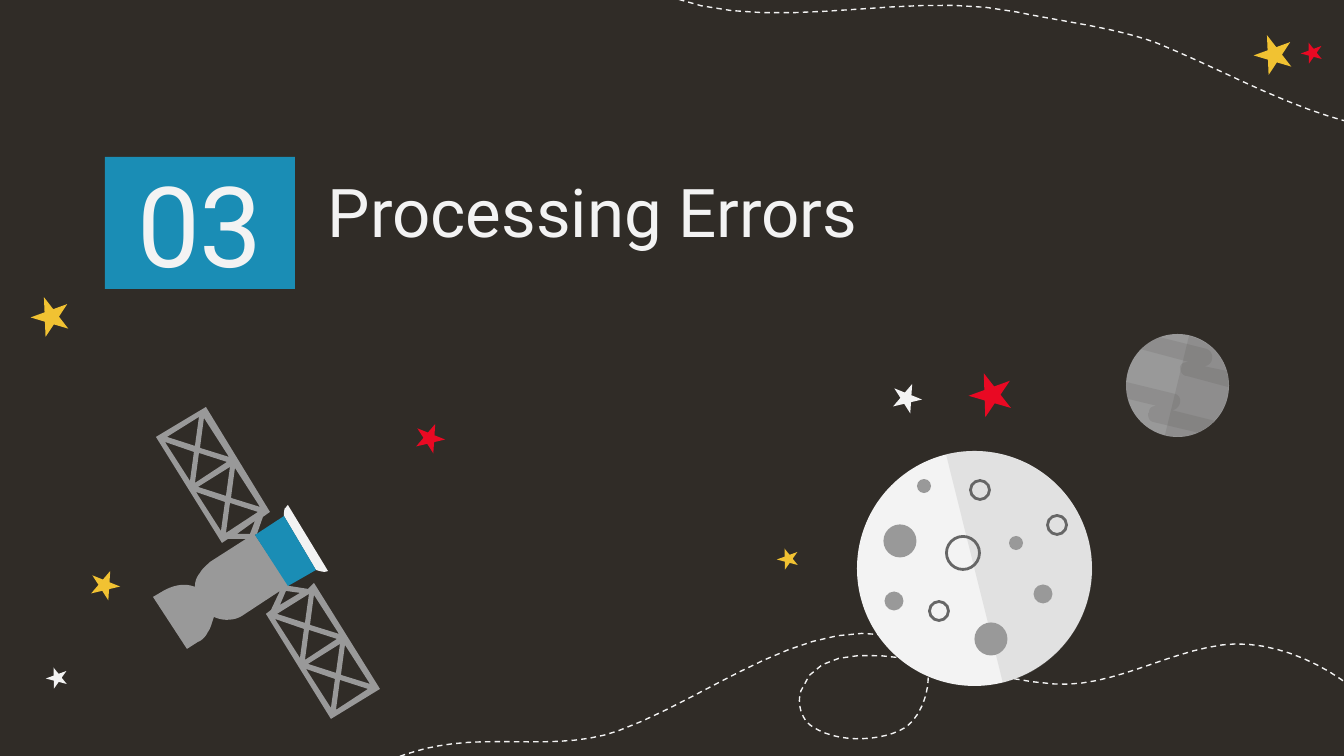
from lxml import etree
from pptx import Presentation
from pptx.dml.color import RGBColor
from pptx.enum.dml import MSO_LINE
from pptx.enum.shapes import MSO_SHAPE
from pptx.enum.text import MSO_ANCHOR, PP_ALIGN
from pptx.oxml.ns import qn
from pptx.util import Pt

SCALE = 914400 / 134.4
WIDE, HIGH = 1344, 756
STEPS = 12

DARK = RGBColor(0x30, 0x2C, 0x27)
WHITE = RGBColor(0xF3, 0xF3, 0xF3)
BLUE = RGBColor(0x1A, 0x8D, 0xB5)
RED = RGBColor(0xE9, 0x09, 0x23)
GOLD = RGBColor(0xF1, 0xC2, 0x32)
GRAY = RGBColor(0x99, 0x99, 0x99)
SLATE = RGBColor(0x66, 0x66, 0x66)

OVAL, RECT, STAR = MSO_SHAPE.OVAL, MSO_SHAPE.RECTANGLE, MSO_SHAPE.STAR_5_POINT
DASH = MSO_LINE.DASH
TOP, MIDDLE = MSO_ANCHOR.TOP, MSO_ANCHOR.MIDDLE
LEFT, CENTER = PP_ALIGN.LEFT, PP_ALIGN.CENTER

STARS = [
    (1301, 42, 22, 20, -20, RED),
    (1254, 34, 39, 38, -20, GOLD),
    (46, 667, 22, 20, -20, WHITE),
    (31, 296, 39, 38, -20, GOLD),
    (415, 423, 30, 28, 22, RED),
    (777, 548, 22, 20, -20, GOLD),
    (969, 372, 44, 42, -20, RED),
    (90, 570, 30, 28, 22, GOLD),
    (892, 383, 30, 28, 22, WHITE),
]
LOW_TRAIL = [
    (1372, 706), (1337, 668, 1275, 638, 1222, 645),
    (1164, 653, 1111, 688, 1054, 684), (970, 679, 825, 618, 801, 691),
    (797, 703, 801, 720, 813, 727), (836, 742, 874, 742, 899, 731),
    (930, 719, 941, 653, 910, 641), (814, 607, 714, 696, 618, 731),
    (562, 751, 497, 735, 438, 746), (392, 754, 352, 780, 306, 788),
]
TOP_TRAIL = [
    (426, -144), (462, -144, 489, -113, 520, -95),
    (570, -65, 673, -24, 694, -79), (696, -87, 691, -101, 683, -105),
    (663, -113, 634, -103, 621, -87), (606, -67, 622, -27, 644, -15),
    (754, 44, 895, -13, 1017, 12), (1064, 22, 1113, 27, 1157, 43),
    (1243, 78, 1328, 132, 1421, 132),
]
PLANET_HALF = [(63, 2), (39, 101), (66, 108, 94, 92, 101, 64), (108, 37, 92, 9, 63, 2)]
LOW_BAND = [
    (0, 48), (-1, 53, 0, 60, 2, 65), (31, 72), (27, 72, 23, 73, 23, 79),
    (22, 79), (22, 83, 23, 87, 27, 88), (73, 99), (80, 96, 85, 92, 89, 87),
    (45, 76), (49, 77, 53, 73, 54, 69), (55, 65, 53, 61, 49, 60),
]
TOP_BAND = [
    (33, 3), (26, 6, 19, 10, 14, 15), (63, 28), (59, 28, 55, 29, 54, 33),
    (54, 38, 57, 42, 61, 42), (102, 53), (104, 48, 102, 42, 101, 37),
    (77, 32), (81, 33, 86, 29, 86, 25), (87, 21, 85, 17, 81, 15),
]
MOON_HALF = [(89, 3), (146, 232), (209, 217, 248, 152, 232, 89), (215, 26, 152, -12, 89, 3)]
CRATERS = [(134, 188, 33), (186, 143, 19), (159, 92, 14), (37, 150, 19), (43, 90, 33), (67, 35, 14)]
RINGS = [(200, 74, 19), (123, 39, 19), (82, 160, 19), (106, 102, 33)]
BODY = [
    (227, 282), (161, 176), (155, 182), (136, 179), (102, 128), (104, 127),
    (110, 110), (117, 105), (53, 0), (3, 30), (69, 136), (75, 132), (93, 132),
    (57, 155), (53, 159, 49, 162, 47, 166), (43, 171, 42, 175, 42, 180),
    (32, 176, 22, 178, 12, 183), (0, 190), (34, 242), (45, 235),
    (50, 233, 53, 229, 55, 225), (58, 221, 59, 215, 61, 210),
    (69, 214, 81, 214, 89, 209), (127, 184), (118, 203), (113, 207), (178, 312),
]
BAY = [
    [(215, 282), (183, 303), (187, 273)],
    [(217, 277), (188, 268), (192, 238)],
    [(178, 301), (153, 262), (182, 272)],
    [(183, 266), (155, 257), (187, 237)],
]
JOINTS = [[(147, 186), (127, 198), (133, 184)], [(97, 127), (84, 127), (102, 114)]]
CORE = [(163, 163), (131, 109), (102, 128), (135, 179)]
DISH = [
    (175, 164), (135, 98), (133, 100, 133, 101, 132, 101),
    (131, 104, 131, 106, 131, 109), (163, 163), (167, 164, 171, 166, 175, 164),
]


def emu(num):
    return round(num * SCALE)


def paint(shape, fill=None, line=None, width=0.75, alpha=None):
    shape.shadow.inherit = False
    if fill is None:
        shape.fill.background()
    else:
        shape.fill.solid()
        shape.fill.fore_color.rgb = fill
    if alpha:
        color = shape.fill._xPr.find(".//" + qn("a:srgbClr"))
        etree.SubElement(color, qn("a:alpha"), val=str(alpha * 1000))
    if line is None:
        shape.line.fill.background()
    else:
        shape.line.color.rgb = line
        shape.line.width = Pt(width)


def preset(slide, kind, box, **style):
    shape = slide.shapes.add_shape(kind, *map(emu, box))
    paint(shape, **style)
    return shape


def trace(path, left, top):
    spots = [path[0]]
    for part in path[1:]:
        if len(part) == 2:
            spots.append(part)
            continue
        nodes = [spots[-1], part[:2], part[2:4], part[4:]]
        for step in range(1, STEPS + 1):
            t = step / STEPS
            mix = ((1 - t) ** 3, 3 * t * (1 - t) ** 2, 3 * t * t * (1 - t), t ** 3)
            spots.append(tuple(sum(m * n[i] for m, n in zip(mix, nodes)) for i in (0, 1)))
    return [(emu(left + x), emu(top + y)) for x, y in spots]


def draw(slide, box, paths, close=True, **style):
    traced = [trace(path, *box[:2]) for path in paths]
    pen = slide.shapes.build_freeform(*traced[0][0])
    for num, spots in enumerate(traced):
        if num:
            pen.move_to(*spots[0])
        pen.add_line_segments(spots[1:], close=close)
    shape = pen.convert_to_shape()
    paint(shape, **style)
    return shape


def disc(slide, box, crater, **style):
    x, y, size = crater
    place = (box[0] + x - size / 2, box[1] + y - size / 2, size, size)
    preset(slide, OVAL, place, **style)


def write(shape, text, size, align, anchor):
    frame = shape.text_frame
    frame.word_wrap = True
    frame.vertical_anchor = anchor
    frame.margin_left = frame.margin_right = emu(13)
    frame.margin_top = frame.margin_bottom = emu(13)
    para = frame.paragraphs[0]
    para.alignment = align
    run = para.add_run()
    run.text = text
    run.font.size = Pt(size)
    run.font.name = "Roboto"
    run.font.color.rgb = WHITE


def add_stars(slide, box):
    for x, y, wide, high, turn, color in STARS:
        star = preset(slide, STAR, (box[0] + x, box[1] + y, wide, high), fill=color)
        star.rotation = turn


def add_trails(slide, box):
    for path in (LOW_TRAIL, TOP_TRAIL):
        trail = draw(slide, box, [path], close=False, line=WHITE)
        trail.line.dash_style = DASH


def add_title(slide, box):
    x, y, wide, high = box
    badge = preset(slide, RECT, (x, y, 190, 132), fill=BLUE)
    write(badge, "03", 60, CENTER, MIDDLE)
    place = (x + 210, y, wide - 210, high)
    write(slide.shapes.add_textbox(*map(emu, place)), "Processing Errors", 36, LEFT, TOP)


def add_planet(slide, box):
    preset(slide, OVAL, box, fill=GRAY)
    for path in (PLANET_HALF, LOW_BAND, TOP_BAND):
        draw(slide, box, [path], fill=DARK, alpha=10)


def add_moon(slide, box):
    preset(slide, OVAL, box, fill=WHITE)
    draw(slide, box, [MOON_HALF], fill=GRAY, alpha=20)
    for crater in CRATERS:
        disc(slide, box, crater, fill=GRAY)
    for ring in RINGS:
        disc(slide, box, ring, line=SLATE, width=1.5)


def add_probe(slide, box):
    shifts = [(px + bx, py + by) for px, py in ((0, 0), (-110, -177)) for bx, by in ((0, 0), (-31, -50))]
    holes = [[(x + dx, y + dy) for x, y in hole] for dx, dy in shifts for hole in BAY]
    draw(slide, box, [DISH], fill=WHITE)
    draw(slide, box, [BODY] + holes + JOINTS, fill=GRAY)
    draw(slide, box, [CORE], fill=BLUE)


def main():
    deck = Presentation()
    deck.slide_width, deck.slide_height = emu(WIDE), emu(HIGH)
    slide = deck.slides.add_slide(deck.slide_layouts[6])
    slide.background.fill.solid()
    slide.background.fill.fore_color.rgb = DARK
    page = (0, 0, WIDE, HIGH)
    add_trails(slide, page)
    add_title(slide, (105, 157, 1040, 188))
    add_planet(slide, (1126, 334, 103, 103))
    add_moon(slide, (857, 451, 235, 235))
    add_stars(slide, page)
    add_probe(slide, (153, 407, 227, 312))
    deck.save("out.pptx")


if __name__ == "__main__":
    main()
